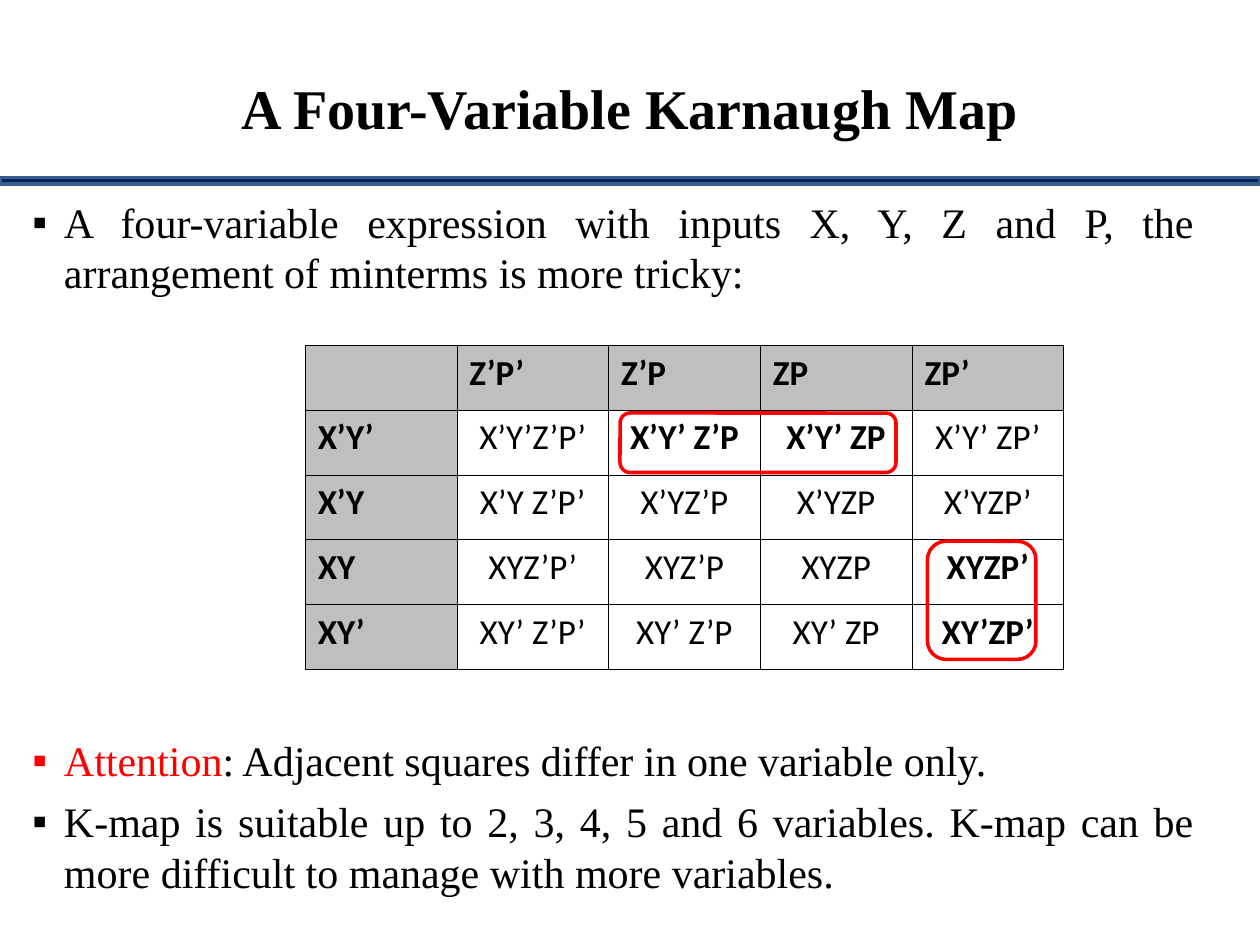
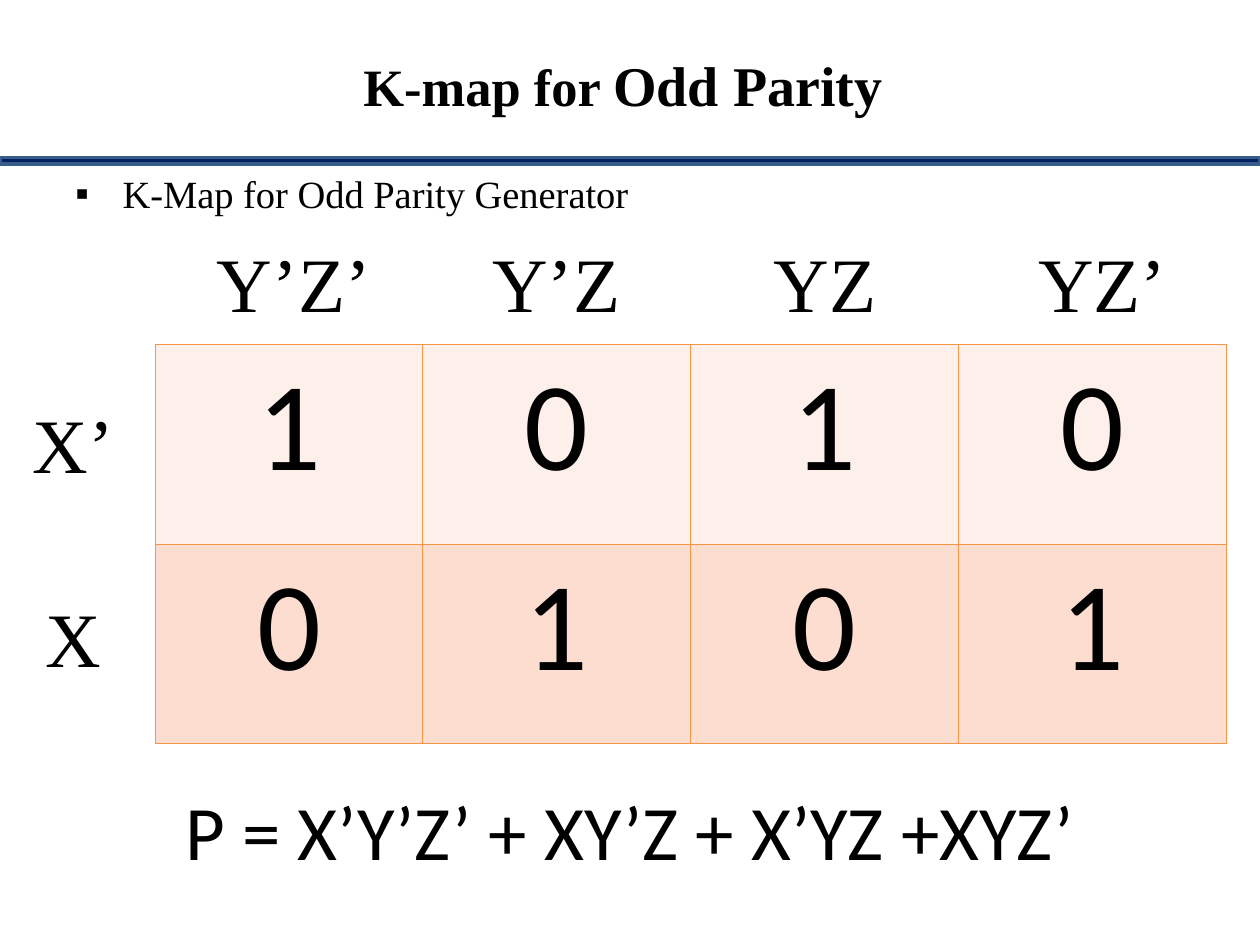
from lxml import etree
from pptx import Presentation
from pptx.dml.color import RGBColor
from pptx.enum.shapes import MSO_SHAPE
from pptx.enum.text import MSO_ANCHOR, MSO_AUTO_SIZE, PP_ALIGN
from pptx.oxml import parse_xml
from pptx.oxml.ns import nsdecls, qn
from pptx.util import Pt

BLACK = RGBColor(0x00, 0x00, 0x00)
RED = RGBColor(0xFF, 0x00, 0x00)
NAVY = RGBColor(0x00, 0x20, 0x60)
STEEL = RGBColor(0x38, 0x5D, 0x8A)
GRAY = RGBColor(0xBF, 0xBF, 0xBF)
ORANGE = RGBColor(0xF7, 0x96, 0x46)
PALE_PEACH = RGBColor(0xFD, 0xEF, 0xE9)
PEACH = RGBColor(0xFC, 0xDD, 0xCF)

SERIF = "Times New Roman"
SANS = "Calibri"
LEFT, CENTER, JUSTIFY = PP_ALIGN.LEFT, PP_ALIGN.CENTER, PP_ALIGN.JUSTIFY
RECTANGLE, ROUNDED = MSO_SHAPE.RECTANGLE, MSO_SHAPE.ROUNDED_RECTANGLE
MIDDLE = MSO_ANCHOR.MIDDLE
NO_AUTOFIT = MSO_AUTO_SIZE.NONE


def write_text(paragraph, text, size=24, font=SERIF, color=BLACK, bold=False,
               align=CENTER, bullet=None, indent=18):
    paragraph.alignment = align
    if font == SERIF:
        paragraph.line_spacing = Pt(round(size * 1.2, 1))
    if bullet is not None:
        properties = paragraph._p.get_or_add_pPr()
        properties.set("marL", str(Pt(indent)))
        properties.set("indent", str(-Pt(indent)))
        bullet_color = etree.SubElement(properties, qn("a:buClr"))
        etree.SubElement(bullet_color, qn("a:srgbClr"), val=str(bullet))
        etree.SubElement(properties, qn("a:buFont"), typeface="Arial")
        etree.SubElement(properties, qn("a:buChar"), char="▪")
    run = paragraph.add_run()
    run.text = text
    run.font.size = Pt(size)
    run.font.name = font
    run.font.bold = bold
    run.font.color.rgb = color


def add_grid(slide, rows, columns, left, top, width, height, border):
    table = slide.shapes.add_table(rows, columns, Pt(left), Pt(top), Pt(width), Pt(height)).table
    table.first_row = False
    table.horz_banding = False
    for cell in table.iter_cells():
        properties = cell._tc.get_or_add_tcPr()
        for side in ("lnL", "lnR", "lnT", "lnB"):
            properties.append(parse_xml(
                f'<a:{side} {nsdecls("a")} w="{Pt(0.45)}"><a:solidFill>'
                f'<a:srgbClr val="{border}"/></a:solidFill></a:{side}>'))
    return table


deck = Presentation()
deck.slide_width, deck.slide_height = Pt(720), Pt(540)

headings = [
    (101.5, 38.2, [("A Four-Variable Karnaugh Map", 32)]),
    (90, 25.2, [("K-map for ", 30), ("Odd Parity ", 32)]),
]
slides = []
for rule_top, title_top, title_runs in headings:
    slide = deck.slides.add_slide(deck.slide_layouts[5])
    slides.append(slide)
    rule = slide.shapes.add_shape(RECTANGLE, 0, Pt(rule_top), Pt(720), Pt(3.6))
    rule.shadow.inherit = False
    rule.fill.solid()
    rule.fill.fore_color.rgb = NAVY
    rule.line.color.rgb = STEEL
    rule.line.width = Pt(2)
    title = slide.shapes.title
    title.left, title.top, title.width, title.height = Pt(96), Pt(title_top), Pt(528), Pt(46)
    title.text_frame.auto_size = NO_AUTOFIT
    title.text_frame.vertical_anchor = MIDDLE
    for text, size in title_runs:
        write_text(title.text_frame.paragraphs[0], text, size=size, bold=True)
four_variable, odd_parity = slides

BODY = dict(align=JUSTIFY, bullet=BLACK)
LABEL = dict(size=44)
column_labels = zip((102, 252, 405.5, 564), ("Y’Z’", "Y’Z", "YZ", "YZ’"))
row_labels = zip((223, 334), ("X’", "X"))
text_boxes = [
    (four_variable, 11.5, 108.7, 678, 70, [[
        ("A four-variable expression with inputs X, Y, Z and P, "
         "the arrangement of minterms is more tricky:", BODY)]]),
    (four_variable, 11.5, 416.3, 678, 105, [
        [("Attention", dict(align=JUSTIFY, bullet=RED, color=RED)),
         (": Adjacent squares differ in one variable only.", dict(align=JUSTIFY))],
        [("K-map is suitable up to 2, 3, 4, 5 and 6 variables. "
          "K-map can be more difficult to manage with more variables.", BODY)]]),
    (odd_parity, 36, 93.6, 648, 36, [[
        ("K-Map for Odd Parity Generator", dict(BODY, size=22, indent=27))]]),
    *((odd_parity, left, 131, 132, 60.5, [[(text, LABEL)]]) for left, text in column_labels),
    *((odd_parity, 0, top, 84, 60.5, [[(text, LABEL)]]) for top, text in row_labels),
    (odd_parity, 0, 444.2, 720, 60.5, [[
        ("P = X’Y’Z’ + XY’Z + X’YZ +XYZ’", dict(size=44, font=SANS))]]),
]
for slide, left, top, width, height, paragraphs in text_boxes:
    frame = slide.shapes.add_textbox(Pt(left), Pt(top), Pt(width), Pt(height)).text_frame
    frame.word_wrap = True
    for index, runs in enumerate(paragraphs):
        paragraph = frame.add_paragraph() if index else frame.paragraphs[0]
        if index:
            paragraph.space_before = Pt(6)
        for text, text_format in runs:
            write_text(paragraph, text, **text_format)

minterms = [
    ["", "Z’P’", "Z’P", "ZP", "ZP’"],
    ["X’Y’", "X’Y’Z’P’", "X’Y’ Z’P", "X’Y’ ZP", "X’Y’ ZP’"],
    ["X’Y", "X’Y Z’P’", "X’YZ’P", "X’YZP", "X’YZP’"],
    ["XY", "XYZ’P’", "XYZ’P", "XYZP", "XYZP’"],
    ["XY’", "XY’ Z’P’", "XY’ Z’P", "XY’ ZP", "XY’ZP’"],
]
grouped = {(1, 2), (1, 3), (3, 4), (4, 4)}
minterm_map = add_grid(four_variable, 5, 5, 174.4, 197.4, 433.5, 185, BLACK)
for row, terms in enumerate(minterms):
    for column, term in enumerate(terms):
        cell = minterm_map.cell(row, column)
        is_heading = row == 0 or column == 0
        if is_heading:
            cell.fill.solid()
            cell.fill.fore_color.rgb = GRAY
        else:
            cell.fill.background()
        if term:
            write_text(cell.text_frame.paragraphs[0], term, size=20, font=SANS,
                       bold=is_heading or (row, column) in grouped,
                       align=LEFT if is_heading else CENTER)

for left, top, width, height in [(354.3, 236, 157.7, 34), (530, 309.3, 62, 67.5)]:
    loop = four_variable.shapes.add_shape(ROUNDED, Pt(left), Pt(top), Pt(width), Pt(height))
    loop.shadow.inherit = False
    loop.adjustments[0] = 0.17
    loop.fill.background()
    loop.line.color.rgb = RED
    loop.line.width = Pt(2)

parity_map = add_grid(odd_parity, 2, 4, 88.6, 196.8, 612, 228, ORANGE)
for row, (bits, fill) in enumerate([("1010", PALE_PEACH), ("0101", PEACH)]):
    for column, bit in enumerate(bits):
        cell = parity_map.cell(row, column)
        cell.fill.solid()
        cell.fill.fore_color.rgb = fill
        write_text(cell.text_frame.paragraphs[0], bit, size=72, font=SANS)

deck.save("out.pptx")
